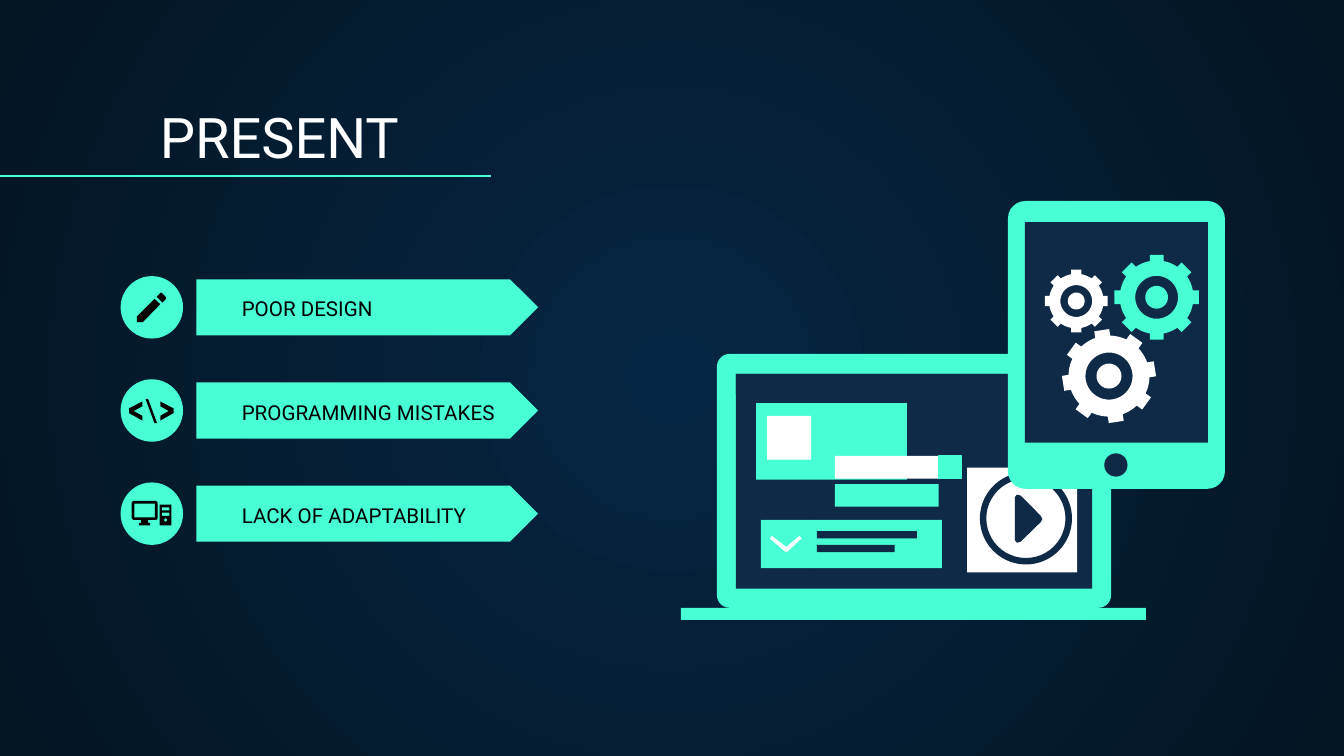
from math import asin, cos, pi, radians, sin

from lxml import etree
from pptx import Presentation
from pptx.dml.color import RGBColor
from pptx.enum.shapes import MSO_CONNECTOR, MSO_SHAPE
from pptx.enum.text import MSO_ANCHOR, MSO_AUTO_SIZE, PP_ALIGN
from pptx.oxml.ns import qn
from pptx.util import Cm, Pt

RECT = MSO_SHAPE.RECTANGLE
ROUNDED = MSO_SHAPE.ROUNDED_RECTANGLE
ELLIPSE = MSO_SHAPE.OVAL
DONUT = MSO_SHAPE.DONUT
ARROW = MSO_SHAPE.PENTAGON
STRAIGHT = MSO_CONNECTOR.STRAIGHT
BOTTOM = MSO_ANCHOR.BOTTOM
NO_FIT = MSO_AUTO_SIZE.NONE
LEFT = PP_ALIGN.LEFT

COLORS = {"mint": "48FFD5", "navy": "0E2A47", "white": "FFFFFF",
          "black": "000000", "glow": "052643", "edge": "041523"}
FONT = "Roboto"


def rgb(name):
    return RGBColor.from_string(COLORS[name])


def write_text(frame, text, size=11, color="black"):
    frame.word_wrap = True
    frame.auto_size = NO_FIT
    frame.vertical_anchor = BOTTOM
    frame.margin_left = frame.margin_right = Cm(0.25)
    frame.margin_top = frame.margin_bottom = Cm(0.25)
    paragraph = frame.paragraphs[0]
    paragraph.alignment = LEFT
    run = paragraph.add_run()
    run.text = text
    run.font.name = FONT
    run.font.size = Pt(size)
    run.font.color.rgb = rgb(color)


# Outlines, as lists of points in centimetres
def box(left, top, right, bottom):
    return [(left, top), (right, top), (right, bottom), (left, bottom)]


def circle(x, y, radius, steps=48):
    return [(x + radius * cos(2 * pi * i / steps),
             y + radius * sin(2 * pi * i / steps)) for i in range(steps)]


def gear_rim(x, y, radius, tilt, teeth=8, arc_steps=6):
    root, half_tooth = 0.86 * radius, 0.16 * radius
    root_angle = asin(half_tooth / root)
    tip_angle = asin(half_tooth / radius)
    gap = 2 * pi / teeth - 2 * root_angle
    rim = []
    for tooth in range(teeth):
        middle = 2 * pi * tooth / teeth + radians(tilt)
        polar = [(radius, middle - tip_angle), (radius, middle + tip_angle)]
        polar += [(root, middle + root_angle + gap * i / arc_steps)
                  for i in range(arc_steps + 1)]
        rim += [(x + r * cos(a), y + r * sin(a)) for r, a in polar]
    return rim


class Deck:
    def __init__(self):
        self.presentation = Presentation()
        self.presentation.slide_width = Cm(25.4)
        self.presentation.slide_height = Cm(14.29)
        self.slide = self.presentation.slides.add_slide(
            self.presentation.slide_layouts[5])
        self.shapes = self.slide.shapes

    def background(self):
        fill = self.slide.background.fill
        fill.gradient()
        for stop, name, position in zip(fill.gradient_stops, ("glow", "edge"), (0, 1)):
            stop.color.rgb = rgb(name)
            stop.position = position
        gradient = self.slide.element.find(".//" + qn("a:gradFill"))
        gradient.remove(gradient.find(qn("a:lin")))
        radial = etree.SubElement(gradient, qn("a:path"), {"path": "circle"})
        etree.SubElement(radial, qn("a:fillToRect"),
                         {side: "50000" for side in "ltrb"})

    def title(self, text, left, top, width, height):
        title = self.shapes.title
        title.left, title.top = Cm(left), Cm(top)
        title.width, title.height = Cm(width), Cm(height)
        write_text(title.text_frame, text, size=30, color="white")

    def label(self, text, left, top, width, height):
        area = self.shapes.add_textbox(Cm(left), Cm(top), Cm(width), Cm(height))
        write_text(area.text_frame, text)

    def paint(self, shape, color, outline=None):
        shape.shadow.inherit = False
        shape.fill.solid()
        shape.fill.fore_color.rgb = rgb(color)
        if outline:
            shape.line.color.rgb = rgb(outline)
            shape.line.width = Pt(0.75)
        else:
            shape.line.fill.background()

    def shape(self, preset, color, left, top, width, height, adjust=None, outline=None):
        shape = self.shapes.add_shape(preset, Cm(left), Cm(top), Cm(width), Cm(height))
        if adjust is not None:
            shape.adjustments[0] = adjust
        self.paint(shape, color, outline)

    def outline(self, color, *contours):
        scaled = [[(Cm(x), Cm(y)) for x, y in contour] for contour in contours]
        builder = self.shapes.build_freeform(*scaled[0][0])
        for number, contour in enumerate(scaled):
            if number:
                builder.move_to(*contour[0])
            builder.add_line_segments(contour[1:], close=True)
        self.paint(builder.convert_to_shape(), color)

    def rule(self, x1, y1, x2, y2):
        line = self.shapes.add_connector(STRAIGHT, Cm(x1), Cm(y1), Cm(x2), Cm(y2))
        line.line.color.rgb = rgb("mint")
        line.line.width = Pt(0.75)
        etree.SubElement(line.element.spPr, qn("a:effectLst"))

    def gear(self, color, x, y, radius, tilt=0):
        self.outline(color, gear_rim(x, y, radius, tilt),
                     circle(x, y, 0.5 * radius), circle(x, y, 0.265 * radius))


def main():
    deck = Deck()
    deck.background()
    deck.title("PRESENT", 2.77, 1.78, 21.77, 1.68)
    deck.rule(0, 3.33, 9.27, 3.33)

    # Problem list
    problems = ["POOR DESIGN", "PROGRAMMING MISTAKES", "LACK OF ADAPTABILITY"]
    for row, problem in enumerate(problems):
        offset = 1.95 * row
        deck.shape(ARROW, "mint", 3.71, 5.28 + offset, 6.46, 1.06, adjust=0.5)
        deck.shape(ELLIPSE, "mint", 2.28, 5.22 + offset, 1.18, 1.18)
        deck.label(problem, 4.32, 5.79 + offset, 5.77, 0.53)

    # Pencil icon
    eraser = [(3.04, 5.53), (2.96, 5.61), (3.07, 5.72), (3.13, 5.66),
              (3.14, 5.63), (3.13, 5.61), (3.06, 5.54)]
    pencil = [(2.92, 5.65), (2.59, 5.98), (2.59, 6.09), (2.7, 6.09), (3.03, 5.75)]
    deck.outline("black", eraser, pencil)

    # Code icon
    bracket = [(2.69, 7.95), (2.44, 7.81), (2.44, 7.72), (2.69, 7.59),
               (2.69, 7.68), (2.53, 7.77), (2.69, 7.86)]
    deck.outline("black", bracket)
    deck.outline("black", [(2.92, 8), (2.75, 7.54), (2.8, 7.54), (2.97, 8)])
    deck.outline("black", [(5.72 - x, y) for x, y in bracket])

    # Computer icon
    monitor = [(2.52, 9.47), (2.95, 9.47), (2.98, 9.5), (2.98, 9.8), (2.95, 9.83),
               (2.8, 9.83), (2.8, 9.88), (2.84, 9.89), (2.84, 9.93), (2.63, 9.93),
               (2.63, 9.89), (2.67, 9.88), (2.67, 9.83), (2.52, 9.83),
               (2.49, 9.8), (2.49, 9.5)]
    deck.outline("black", monitor, box(2.54, 9.52, 2.93, 9.78))
    deck.outline("black", box(3.02, 9.54, 3.24, 9.93), box(3.06, 9.59, 3.2, 9.65),
                 box(3.06, 9.69, 3.2, 9.75), circle(3.13, 9.83, 0.03))

    # Laptop
    deck.shape(ROUNDED, "mint", 13.55, 6.69, 7.45, 4.8, adjust=0.05)
    for color, *place in [
        ("navy", 13.91, 7.07, 6.73, 4.06),
        ("mint", 12.87, 11.49, 8.79, 0.23),
        ("navy", 13.91, 7.07, 6.73, 0.38),
        ("mint", 14.29, 7.62, 2.85, 1.45),
        ("white", 14.5, 7.86, 0.83, 0.83),
        ("mint", 15.29, 9.83, 2.51, 0.91),
        ("navy", 15.44, 10.04, 1.89, 0.14),
        ("navy", 15.44, 10.3, 1.47, 0.14),
        ("mint", 14.38, 9.83, 0.91, 0.91),
        ("mint", 15.78, 9.15, 1.96, 0.43),
        ("white", 15.78, 8.62, 1.96, 0.43),
        ("white", 18.28, 8.84, 2.08, 1.98),
    ]:
        deck.shape(RECT, color, *place)
    deck.shape(RECT, "mint", 17.74, 8.62, 0.43, 0.43, outline="mint")
    deck.outline("white", [(14.59, 10.13), (14.86, 10.34), (15.11, 10.13), (15.15, 10.18),
                           (14.88, 10.43), (14.84, 10.43), (14.55, 10.18)])

    # Play button
    deck.shape(DONUT, "navy", 18.52, 8.93, 1.74, 1.74, adjust=0.07)
    deck.outline("navy", [(19.18, 9.4), (19.22, 9.35), (19.29, 9.37), (19.67, 9.75),
                          (19.7, 9.81), (19.67, 9.87), (19.29, 10.24), (19.22, 10.26),
                          (19.18, 10.21)])

    # Tablet with gears
    deck.shape(ROUNDED, "mint", 19.05, 3.8, 4.1, 5.44, adjust=0.08)
    deck.shape(RECT, "navy", 19.37, 4.2, 3.46, 4.17)
    deck.shape(ELLIPSE, "navy", 20.87, 8.57, 0.44, 0.44)
    deck.gear("mint", 21.86, 5.62, 0.81)
    deck.gear("white", 20.34, 5.69, 0.6)
    deck.gear("white", 20.96, 7.11, 0.89, tilt=-9)

    deck.presentation.save("out.pptx")


if __name__ == "__main__":
    main()
